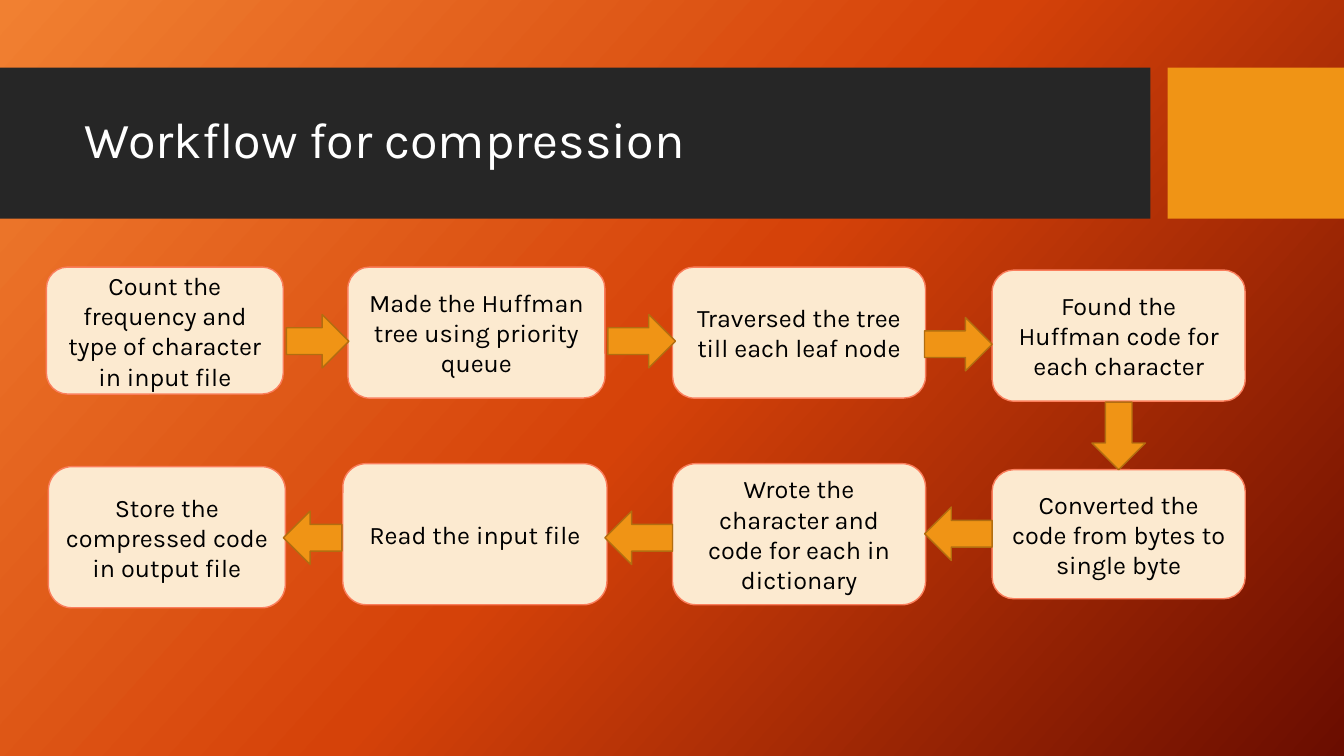
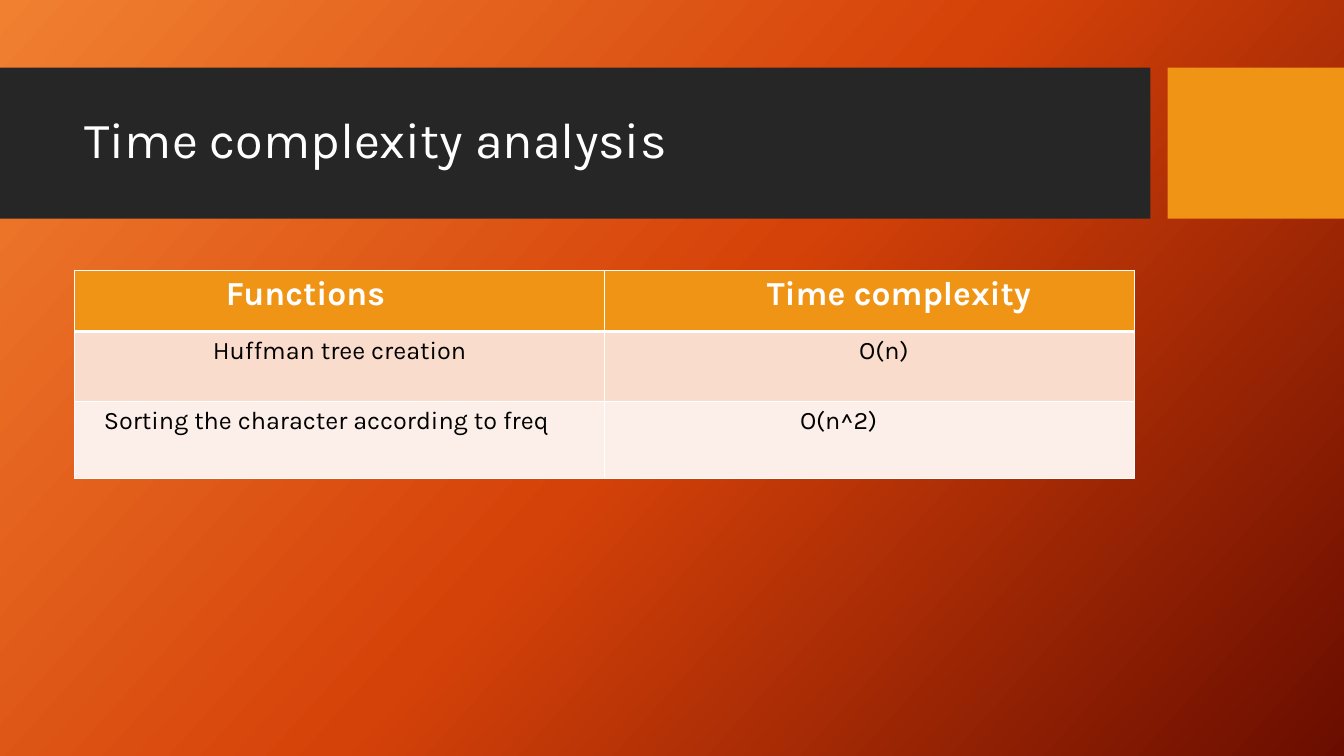
from copy import deepcopy

from lxml.etree import SubElement
from pptx import Presentation
from pptx.dml.color import RGBColor
from pptx.enum.shapes import MSO_SHAPE
from pptx.enum.text import MSO_ANCHOR, PP_ALIGN
from pptx.oxml.ns import qn
from pptx.util import Inches, Pt

FONT = "Karla"
WHITE = RGBColor(0xFF, 0xFF, 0xFF)
BLACK = RGBColor(0x00, 0x00, 0x00)
CHARCOAL = RGBColor(0x26, 0x26, 0x26)
ORANGE = RGBColor(0xF0, 0x94, 0x15)
ARROW_LINE = RGBColor(0xB2, 0x6D, 0x10)
CREAM = RGBColor(0xFC, 0xEA, 0xD0)
CORAL = RGBColor(0xFA, 0x7E, 0x5C)
PEACH = RGBColor(0xF9, 0xDC, 0xCC)
PALE_PEACH = RGBColor(0xFC, 0xEE, 0xE8)
BACKGROUND_STOPS = [
    (0, RGBColor(0xF1, 0x80, 0x31)),
    (0.5, RGBColor(0xD5, 0x42, 0x09)),
    (1, RGBColor(0x6A, 0x0D, 0x00)),
]


def write_text(frame, text, size=18, color=BLACK, bold=False,
               align=PP_ALIGN.CENTER, spacing=1.0):
    """Fill a text frame with one formatted paragraph."""
    frame.word_wrap = True
    paragraph = frame.paragraphs[0]
    paragraph.alignment = align
    paragraph.line_spacing = spacing
    run = paragraph.add_run()
    run.text = text
    run.font.name = FONT
    run.font.size = Pt(size)
    run.font.bold = bold
    run.font.color.rgb = color


def draw_shape(slide, kind, box, fill, line=None):
    """Add a flat preset shape; box is left, top, width, height in inches."""
    shape = slide.shapes.add_shape(kind, *map(Inches, box))
    shape.shadow.inherit = False
    shape.fill.solid()
    shape.fill.fore_color.rgb = fill
    if line is None:
        shape.line.fill.background()
    else:
        shape.line.color.rgb = line
        shape.line.width = Pt(1)
    return shape


presentation = Presentation()
presentation.slide_width = Inches(13.33)
presentation.slide_height = Inches(7.5)

# Shared layout: gradient background, title position and bands
layout = presentation.slide_layouts.get_by_name("Title Only")
background = layout.background.fill
background.gradient()
background.gradient_angle = 360 - 42
stop_list = layout.element.find(".//" + qn("a:gsLst"))
stop_list.insert(1, deepcopy(stop_list[0]))
for stop, (position, color) in zip(background.gradient_stops, BACKGROUND_STOPS):
    stop.position = position
    stop.color.rgb = color

layout_title = layout.placeholders[0]
layout_title.left, layout_title.top = Inches(0.74), Inches(0.82)
layout_title.width, layout_title.height = Inches(10.51), Inches(1.18)

workflow_slide, complexity_slide = [
    presentation.slides.add_slide(layout) for _ in range(2)
]
bands = [
    draw_shape(workflow_slide, MSO_SHAPE.RECTANGLE, (0, 0.67, 11.41, 1.5), CHARCOAL),
    draw_shape(workflow_slide, MSO_SHAPE.RECTANGLE, (11.58, 0.67, 1.75, 1.5), ORANGE),
]
for band in bands:
    layout_title.element.addprevious(band.element)

titles = [
    (workflow_slide, "Workflow for compression"),
    (complexity_slide, "Time complexity analysis"),
]
for slide, text in titles:
    title_frame = slide.shapes.title.text_frame
    title_frame.vertical_anchor = MSO_ANCHOR.MIDDLE
    write_text(title_frame, text, size=36, color=WHITE,
               align=PP_ALIGN.LEFT, spacing=0.9)

# Workflow: steps run right along the top row and back along the bottom
steps = [
    ("Count the frequency and type of character in input file", (0.46, 2.65, 2.35, 1.26)),
    ("Made the Huffman tree using priority queue", (3.45, 2.65, 2.55, 1.3)),
    ("Traversed the tree till each leaf node", (6.67, 2.65, 2.51, 1.3)),
    ("Found the Huffman code for each character", (9.84, 2.68, 2.51, 1.3)),
    ("Converted the code from bytes to single byte", (9.84, 4.66, 2.51, 1.28)),
    ("Wrote the character and code for each in dictionary", (6.67, 4.6, 2.51, 1.4)),
    ("Read the input file", (3.4, 4.6, 2.62, 1.4)),
    ("Store the compressed code in output file", (0.48, 4.63, 2.35, 1.4)),
]
for text, box in steps:
    step = draw_shape(workflow_slide, MSO_SHAPE.ROUNDED_RECTANGLE, box, CREAM, CORAL)
    step.text_frame.vertical_anchor = MSO_ANCHOR.MIDDLE
    write_text(step.text_frame, text)

ARROW_HEIGHT = 0.53
arrows = [
    (2.84, 3.12, 0.62, 0),
    (6.03, 3.12, 0.67, 0),
    (9.17, 3.15, 0.67, 0),
    (10.76, 4.06, 0.67, 90),
    (9.17, 5.03, 0.67, 180),
    (6, 5.07, 0.67, 180),
    (2.81, 5.07, 0.58, 180),
]
for left, top, width, rotation in arrows:
    arrow = draw_shape(workflow_slide, MSO_SHAPE.RIGHT_ARROW,
                       (left, top, width, ARROW_HEIGHT), ORANGE, ARROW_LINE)
    arrow.rotation = rotation

# Complexity table: each cell has its text, alignment and left margin
LEFT, CENTER = PP_ALIGN.LEFT, PP_ALIGN.CENTER
table_rows = [
    (0.61, ORANGE, [("Functions", LEFT, 1.5), ("Time complexity", LEFT, 1.61)]),
    (0.54, PEACH, [("Huffman tree creation", CENTER, 0.1), ("O(n)", CENTER, 0.39)]),
    (0.77, PALE_PEACH, [("Sorting the character according to freq", LEFT, 0.29),
                        ("O(n^2)", LEFT, 1.94)]),
]
# The middle row is drawn taller than its text needs
row_heights = [0.61, 0.69, 0.77]
table = complexity_slide.shapes.add_table(
    len(table_rows), 2, Inches(0.74), Inches(2.68),
    Inches(10.51), Inches(sum(row_heights))).table
table.horz_banding = False
for row_index, (_, fill, cells) in enumerate(table_rows):
    table.rows[row_index].height = Inches(row_heights[row_index])
    is_header = row_index == 0
    for column_index, (text, align, margin) in enumerate(cells):
        cell = table.cell(row_index, column_index)
        cell.margin_left = Inches(margin)
        write_text(cell.text_frame, text, size=24 if is_header else 18,
                   color=WHITE if is_header else BLACK, bold=is_header, align=align)
        properties = cell._tc.get_or_add_tcPr()
        for side in ("lnL", "lnR", "lnT", "lnB"):
            below_header = (row_index, side) in [(0, "lnB"), (1, "lnT")]
            border = SubElement(properties, qn("a:" + side),
                                w=str(Pt(3 if below_header else 1)))
            border_fill = SubElement(border, qn("a:solidFill"))
            SubElement(border_fill, qn("a:srgbClr"), val=str(WHITE))
        cell.fill.solid()
        cell.fill.fore_color.rgb = fill

presentation.save("out.pptx")
